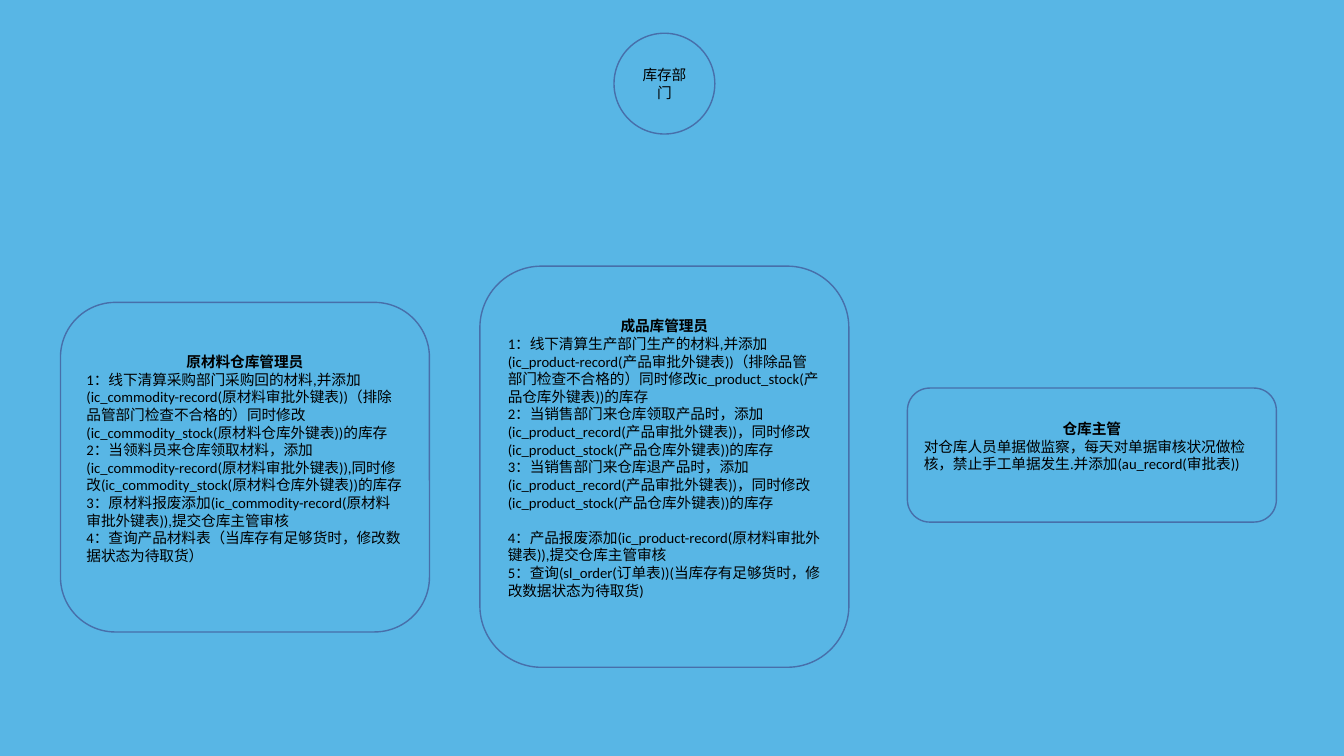
"""Build the slide on the roles in the inventory department."""
from dataclasses import dataclass

from pptx import Presentation
from pptx.dml.color import RGBColor
from pptx.enum.shapes import MSO_SHAPE as Shape
from pptx.enum.text import MSO_ANCHOR as Anchor, PP_ALIGN as Align
from pptx.util import Inches, Pt


@dataclass(frozen=True)
class Theme:
    background: RGBColor = RGBColor(0x58, 0xB6, 0xE5)
    outline: RGBColor = RGBColor(0x47, 0x6F, 0xAA)
    text: RGBColor = RGBColor(0, 0, 0)
    font: str = "Calibri"
    text_size: float = 10.5
    line_width: float = 1
    section_gap: float = 12.6


class DepartmentSlide:
    def __init__(self, slide, theme):
        self.slide = slide
        self.theme = theme
        fill = slide.background.fill
        fill.solid()
        fill.fore_color.rgb = theme.background

    def outline(self, kind, left, top, width, height):
        shape = self.slide.shapes.add_shape(
            kind, Inches(left), Inches(top), Inches(width), Inches(height))
        shape.shadow.inherit = False
        shape.fill.background()
        shape.line.color.rgb = self.theme.outline
        shape.line.width = Pt(self.theme.line_width)
        shape.text_frame.word_wrap = True
        shape.text_frame.vertical_anchor = Anchor.MIDDLE
        return shape

    def format_paragraph(self, paragraph, align, bold=False):
        paragraph.alignment = align
        for run in paragraph.runs:
            run.font.name = self.theme.font
            run.font.size = Pt(self.theme.text_size)
            run.font.bold = bold
            run.font.color.rgb = self.theme.text

    def circle(self, text, left, top, diameter):
        shape = self.outline(Shape.OVAL, left, top, diameter, diameter)
        shape.text_frame.text = text
        self.format_paragraph(shape.text_frame.paragraphs[0], Align.CENTER)

    def role_card(self, role, duties, left, top, height, gap_before=None):
        shape = self.outline(Shape.ROUNDED_RECTANGLE, left, top, CARD_WIDTH, height)
        frame = shape.text_frame
        frame.margin_bottom = Inches(CARD_BOTTOM_MARGIN)
        frame.text = "\n".join([role, *duties])
        heading, *items = frame.paragraphs
        self.format_paragraph(heading, Align.CENTER, bold=True)
        for index, paragraph in enumerate(items):
            self.format_paragraph(paragraph, Align.LEFT)
            if index == gap_before:
                paragraph.space_before = Pt(self.theme.section_gap)


CARD_WIDTH = 3.66
CARD_BOTTOM_MARGIN = 0.22

MATERIAL_DUTIES = [
    "1：线下清算采购部门采购回的材料,并添加(ic_commodity-record(原材料审批外键表))"
    "（排除品管部门检查不合格的）同时修改(ic_commodity_stock(原材料仓库外键表))的库存",
    "2：当领料员来仓库领取材料，添加(ic_commodity-record(原材料审批外键表)),"
    "同时修改(ic_commodity_stock(原材料仓库外键表))的库存",
    "3：原材料报废添加(ic_commodity-record(原材料审批外键表)),提交仓库主管审核",
    "4：查询产品材料表（当库存有足够货时，修改数据状态为待取货）",
]
PRODUCT_DUTIES = [
    "1：线下清算生产部门生产的材料,并添加(ic_product-record(产品审批外键表))"
    "（排除品管部门检查不合格的）同时修改ic_product_stock(产品仓库外键表))的库存",
    *(f"{number}：当销售部门来仓库{action}产品时，添加(ic_product_record(产品审批外键表))，"
      "同时修改(ic_product_stock(产品仓库外键表))的库存"
      for number, action in ((2, "领取"), (3, "退"))),
    "4：产品报废添加(ic_product-record(原材料审批外键表)),提交仓库主管审核",
    "5：查询(sl_order(订单表))(当库存有足够货时，修改数据状态为待取货)",
]
SUPERVISOR_DUTIES = [
    "对仓库人员单据做监察，每天对单据审核状况做检核，禁止手工单据发生."
    "并添加(au_record(审批表))",
]


def main():
    presentation = Presentation()
    presentation.slide_width = Inches(13.33)
    presentation.slide_height = Inches(7.5)
    blank_layout = presentation.slide_layouts[6]
    department = DepartmentSlide(presentation.slides.add_slide(blank_layout), Theme())
    department.circle("库存部门", 6.09, 0.33, 1)
    department.role_card("原材料仓库管理员", MATERIAL_DUTIES, 0.6, 3, 3.27)
    department.role_card("成品库管理员", PRODUCT_DUTIES, 4.76, 2.64, 3.98, gap_before=3)
    department.role_card("仓库主管", SUPERVISOR_DUTIES, 9, 3.85, 1.33)
    presentation.save("out.pptx")


if __name__ == "__main__":
    main()
